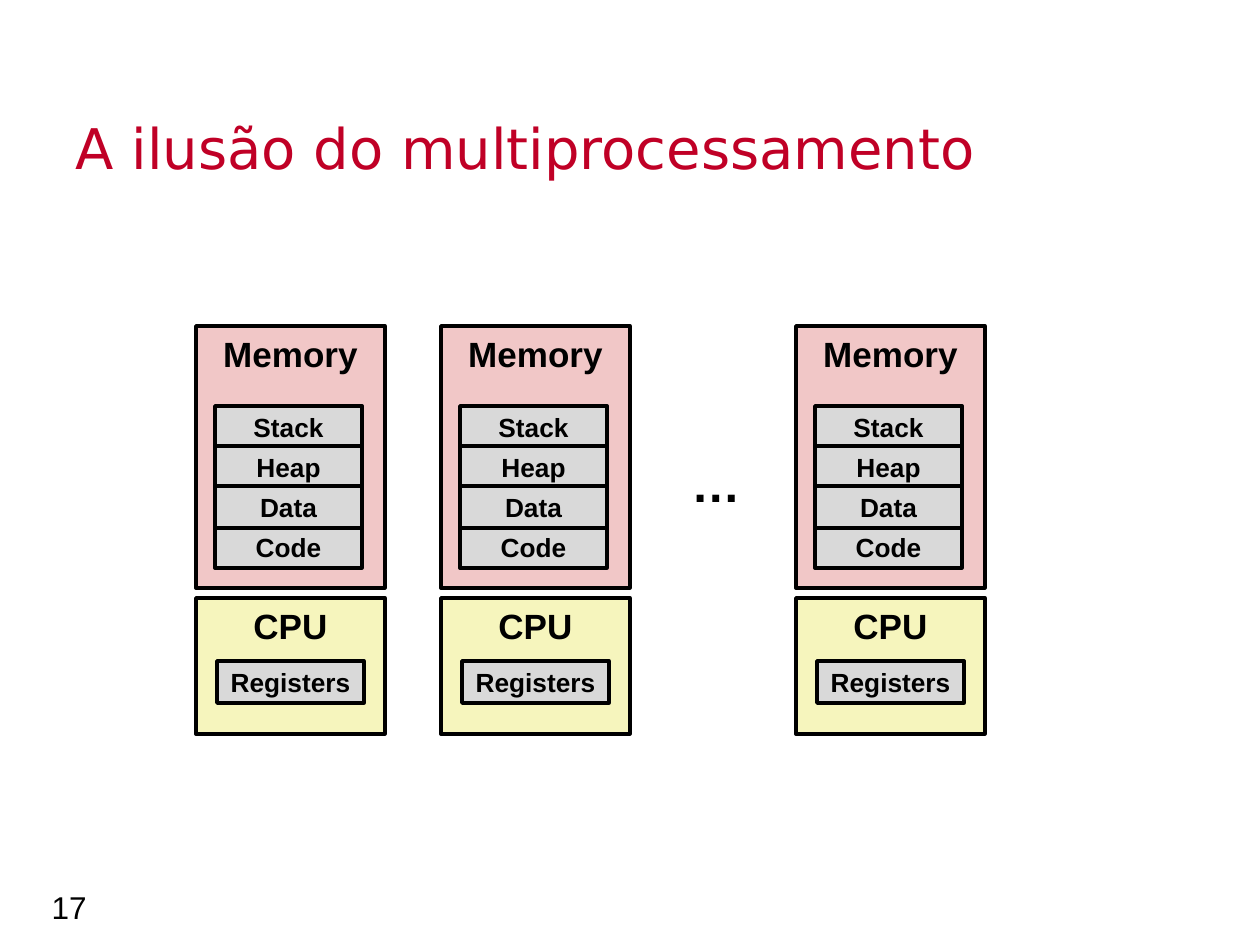
from dataclasses import dataclass

from pptx import Presentation
from pptx.dml.color import RGBColor as Rgb
from pptx.enum.shapes import MSO_SHAPE as Form
from pptx.enum.text import MSO_ANCHOR as Anchor, MSO_AUTO_SIZE as Fit, PP_ALIGN as Align
from pptx.util import Emu, Pt

SCALE = 914400 / 126


@dataclass(frozen=True)
class Theme:
    """Hold the colours, fonts and type sizes."""
    red: str = "C00026"
    ink: str = "000000"
    pink: str = "F1C7C7"
    cream: str = "F6F5BD"
    grey: str = "D9D9D9"
    head: str = "DejaVu Sans"
    body: str = "Arial"
    title: int = 32
    dots: int = 28
    unit: int = 20
    page: int = 18
    cell: int = 15
    line: int = 2


THEME = Theme()


def px(num):
    """Turn pixels into EMU."""
    return Emu(round(num * SCALE))


def write(shape, text, size, color=THEME.ink, font=THEME.body, bold=False,
          align=Align.LEFT, anchor=Anchor.TOP, wrap=True):
    """Set and format the text of a shape."""
    frame = shape.text_frame
    frame.text = text
    frame.auto_size = Fit.NONE
    frame.word_wrap = wrap
    frame.vertical_anchor = anchor
    para = frame.paragraphs[0]
    para.alignment = align
    face = para.runs[0].font
    face.name, face.size, face.bold = font, Pt(size), bold
    face.color.rgb = Rgb.from_string(color)


def add_title(slide, text, box):
    """Move and format the title placeholder."""
    title = slide.shapes.title
    title.left, title.top, title.width, title.height = map(px, box)
    write(title, text, THEME.title, THEME.red, THEME.head)


def add_text(slide, text, box, size, **style):
    """Add a plain text box."""
    write(slide.shapes.add_textbox(*map(px, box)), text, size, **style)


def add_box(slide, text, box, fill, size, anchor=Anchor.TOP):
    """Add an outlined rectangle with a bold centred label."""
    shape = slide.shapes.add_shape(Form.RECTANGLE, *map(px, box))
    shape.shadow.inherit = False
    shape.fill.solid()
    shape.fill.fore_color.rgb = Rgb.from_string(fill)
    shape.line.color.rgb = Rgb.from_string(THEME.ink)
    shape.line.width = Pt(THEME.line)
    write(shape, text, size, bold=True, align=Align.CENTER, anchor=anchor)


def add_cell(slide, text, left, top):
    """Add one grey cell of a unit."""
    add_box(slide, text, (left, top, 147, 42), THEME.grey, THEME.cell, Anchor.MIDDLE)


def add_node(slide, left):
    """Add one processor with its memory."""
    add_box(slide, "CPU", (left, 598, 189, 136), THEME.cream, THEME.unit)
    add_cell(slide, "Registers", left + 21, 661)
    add_box(slide, "Memory", (left, 326, 189, 262), THEME.pink, THEME.unit)
    for row, name in ((0, "Stack"), (1, "Heap"), (3, "Code"), (2, "Data")):
        add_cell(slide, name, left + 19, 406 + 40 * row)


def main():
    """Build and save the slide."""
    deck = Presentation()
    deck.slide_width, deck.slide_height = px(1260), px(945)
    slide = deck.slides.add_slide(deck.slide_layouts[5])
    add_title(slide, "A ilusão do multiprocessamento", (63, 107, 1134, 86))
    add_text(slide, "17", (11, 882, 88, 50), THEME.page,
             align=Align.RIGHT, anchor=Anchor.MIDDLE)
    for left in (196, 441, 796):
        add_node(slide, left)
    add_text(slide, "…", (679, 447, 74, 71), THEME.dots, bold=True, wrap=False)
    deck.save("out.pptx")


if __name__ == "__main__":
    main()
